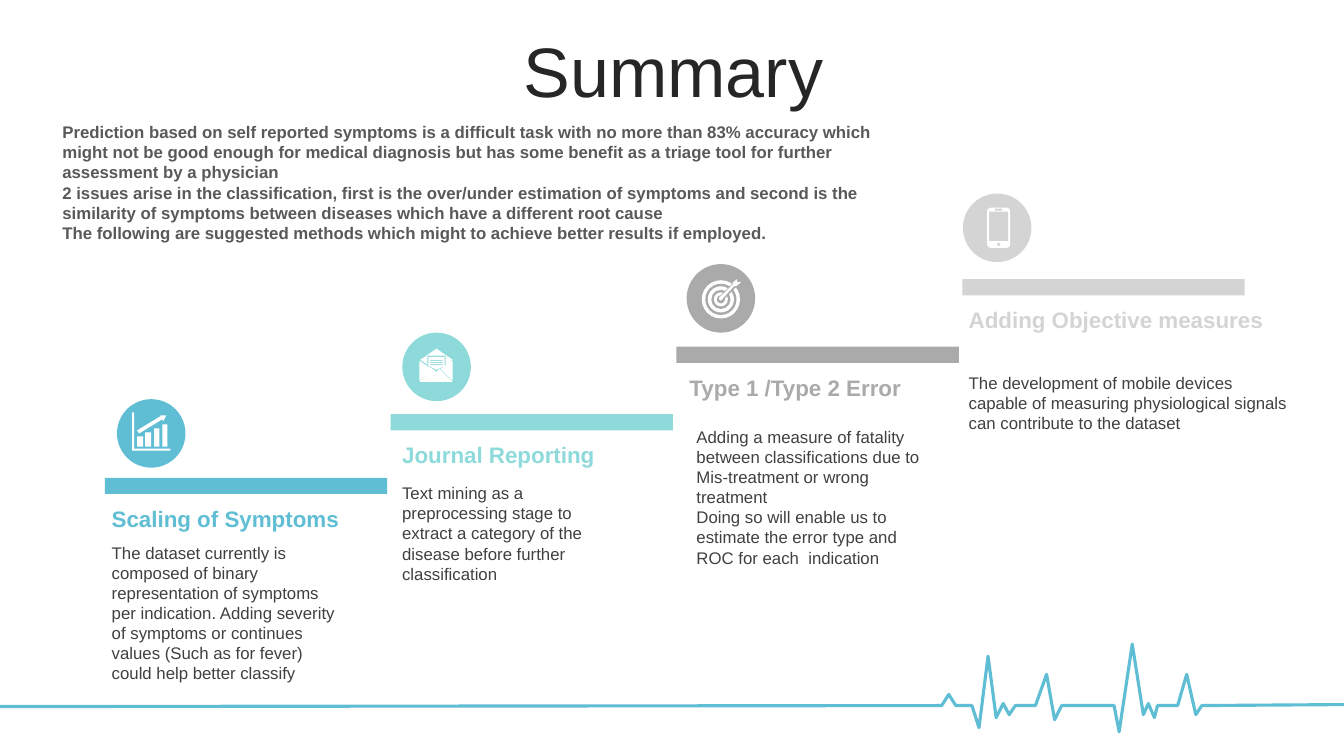
from pptx import Presentation
from pptx import util as u
from pptx.dml.color import RGBColor
from pptx.enum import shapes, text

# Content
TITLE = "Summary"
INTRO = [
    "Prediction based on self reported symptoms is a difficult task with no more than 83% accuracy which might not be good enough for medical diagnosis but has some benefit as a triage tool for further assessment by a physician",
    "2 issues arise in the classification, first is the over/under estimation of symptoms and second is the similarity of symptoms between diseases which have a different root cause",
    "The following are suggested methods which might to achieve better results if employed.",
]
# Each step: bar top, circle (left, top), heading (left, width), body box
STEPS = [
    dict(head="Scaling of Symptoms", color="60BED4", icon="chart", top=4.74,
         circle=(1.16, 3.96), label=(1.01, 2.67), box=(1.01, 5.33, 2.45, 1.51),
         body=["The dataset currently is composed of binary representation of symptoms per indication. Adding severity of symptoms or continues values (Such as for fever) could help better classify"]),
    dict(head="Journal Reporting", color="8EDADA", icon="letter", top=4.11,
         circle=(3.99, 3.3), label=(3.89, 2.39), box=(3.89, 4.74, 2.1, 1.11),
         body=["Text mining as a preprocessing stage to extract a category of the disease before further classification"]),
    dict(head="Type 1 /Type 2 Error", color="AAAAAA", icon="target", top=3.44,
         circle=(6.81, 2.62), label=(6.74, 2.43), box=(6.81, 4.18, 2.56, 1.51),
         body=["Adding a measure of fatality between classifications due to",
               "Mis-treatment or wrong treatment\nDoing so will enable us to estimate the error type and ROC for each  indication"]),
    dict(head="Adding Objective measures", color="D4D4D4", icon="phone", top=2.77,
         circle=(9.55, 1.92), label=(9.51, 3.17), box=(9.51, 3.65, 3.4, 0.71),
         body=["The development of mobile devices capable of measuring physiological signals can contribute to the dataset"]),
]
BAR_LEFT, BAR_STEP, BAR_W, BAR_H = 1.04, 2.835, 2.8, 0.16
CIRCLE, LABEL_DROP, LABEL_H = 0.68, 0.22, 0.37
WHITE = "FFFFFF"

# Outlines in hundredths of an inch
PULSE = [(1333, 699), (1192, 700), (1186, 709), (1177, 669), (1168, 700), (1148, 700),
         (1145, 712), (1139, 698), (1134, 709), (1123, 639), (1110, 726), (1105, 700),
         (1053, 700), (1046, 714), (1038, 669), (1027, 700), (1007, 700), (1001, 709),
         (995, 698), (988, 712), (980, 651), (971, 722), (964, 700), (948, 700),
         (941, 689), (934, 700), (-2, 701)]


def rect(x, y, w, h):
    return [(x, y), (x + w, y), (x + w, y + h), (x, y + h)]


GRAPH = [rect(-14 + 8.33 * i, 3 - 4 * i, 5.5, 10 + 4 * i) for i in range(4)] + [
    [(9, -18), (15, -18), (12, -12), (11, -14), (-12, 0), (-14, -3), (9, -17)],
    [(-19, -21), (-17, -21), (-17, 15), (19, 15), (19, 17), (-19, 17)]]
ENVELOPE = [
    [(-4, 2), (0, 5), (3, 2), (16, 15), (-17, 15)],
    [(-17, -6), (-11, -2), (-4, 2), (-17, 14)],
    [(16, -6), (16, 14), (4, 2), (14, -5)],
    [(0, -18), (16, -7), (9, -2), (9, -11), (-9, -11), (-9, -2), (-16, -7)],
    [(-8, -10), (8, -10), (8, -1), (0, 3), (-8, -1)],
] + [rect(-6, y, 12, 1) for y in (-7, -5, -3)]
RING_RADII = [19, 15.5, 13, 9.5, 7, 4]
ARROW_GAP = [(0, -3), (12, -15), (15, -11), (3, 1)]
ARROW = [(16, -19), (16, -16), (20, -16), (15, -12), (13, -12), (2, 0),
         (1, 2), (-1, 2), (-2, 0), (-1, -2), (0, -2), (12, -14), (12, -16)]

prs = Presentation()
prs.slide_width, prs.slide_height = u.Inches(13.33), u.Inches(7.5)
s = prs.slides.add_slide(prs.slide_layouts[5])


def rgb(value):
    return RGBColor.from_string(value)


def paint(sp, color):
    sp.shadow.inherit = False
    sp.fill.solid()
    sp.fill.fore_color.rgb = rgb(color)
    sp.line.fill.background()
    return sp


def place(sp, box):
    for name, value in zip(("left", "top", "width", "height"), box):
        setattr(sp, name, u.Inches(value))


def add(kind, box, color):
    return paint(s.shapes.add_shape(kind, *map(u.Inches, box)), color)


def outline(contours, origin=(0, 0), close=True):
    start, *others = contours
    fb = s.shapes.build_freeform(*start[0], scale=u.Inches(0.01))
    fb.add_line_segments(start[1:], close=close)
    for points in others:
        fb.move_to(*points[0])
        fb.add_line_segments(points[1:], close=close)
    return fb.convert_to_shape(*map(u.Inches, origin))


def write(sp, paragraphs, color, size, bold=False, **layout):
    tf = sp.text_frame
    tf.word_wrap = True
    tf.auto_size = text.MSO_AUTO_SIZE.NONE
    for i, line in enumerate(paragraphs):
        p = tf.paragraphs[0] if i == 0 else tf.add_paragraph()
        p.text = line
        for name, value in layout.items():
            setattr(p, name, value)
        for r in p.runs:
            for name, value in dict(name="Arial", size=u.Pt(size), bold=bold).items():
                setattr(r.font, name, value)
            r.font.color.rgb = rgb(color)


def textbox(box, *args, **kwargs):
    write(s.shapes.add_textbox(*map(u.Inches, box)), *args, **kwargs)


def draw_icon(kind, cx, cy, color):
    def part(shape, x, y, w, h, fill):
        return add(shape, (cx + x / 100, cy + y / 100, w / 100, h / 100), fill)

    oval, rounded = shapes.MSO_SHAPE.OVAL, shapes.MSO_SHAPE.ROUNDED_RECTANGLE
    if kind == "chart":
        paint(outline(GRAPH, (cx, cy)), WHITE)
    elif kind == "letter":
        paint(outline(ENVELOPE, (cx, cy)), WHITE)
    elif kind == "target":
        for i, radius in enumerate(RING_RADII):
            part(oval, -radius, 1 - radius, 2 * radius, 2 * radius, color if i % 2 else WHITE)
        paint(outline([ARROW_GAP], (cx, cy)), color)
        paint(outline([ARROW], (cx, cy)), WHITE)
    else:
        part(rounded, -10, -20, 23, 40, WHITE)
        part(shapes.MSO_SHAPE.RECTANGLE, -8, -16, 19, 29, color)
        part(rounded, -2, -19, 7, 2, color)
        part(oval, 0, 15, 3, 3, color)


# Heartbeat line
pulse = outline([PULSE], close=False)
pulse.shadow.inherit = False
pulse.fill.background()
pulse.line.color.rgb = rgb("60BED4")
pulse.line.width = u.Pt(2.25)

# Title and introduction
title = s.shapes.title
place(title, (0.35, 0.37, 12.66, 0.79))
title.text_frame.vertical_anchor = text.MSO_ANCHOR.MIDDLE
write(title, [TITLE], "262626", 50, alignment=text.PP_ALIGN.CENTER, line_spacing=0.8)
textbox((0.52, 1.16, 8.55, 1.31), INTRO, "595959", 12, bold=True)

# Rising steps
for i, step in enumerate(STEPS):
    color, top = step["color"], step["top"]
    add(shapes.MSO_SHAPE.RECTANGLE, (BAR_LEFT + i * BAR_STEP, top, BAR_W, BAR_H), color)
    left, width = step["label"]
    textbox((left, top + LABEL_DROP, width, LABEL_H), [step["head"]], color, 16, bold=True)
    textbox(step["box"], step["body"], "404040", 12)
    x, y = step["circle"]
    add(shapes.MSO_SHAPE.OVAL, (x, y, CIRCLE, CIRCLE), color)
    draw_icon(step["icon"], x + CIRCLE / 2, y + CIRCLE / 2, color)

prs.save("out.pptx")
